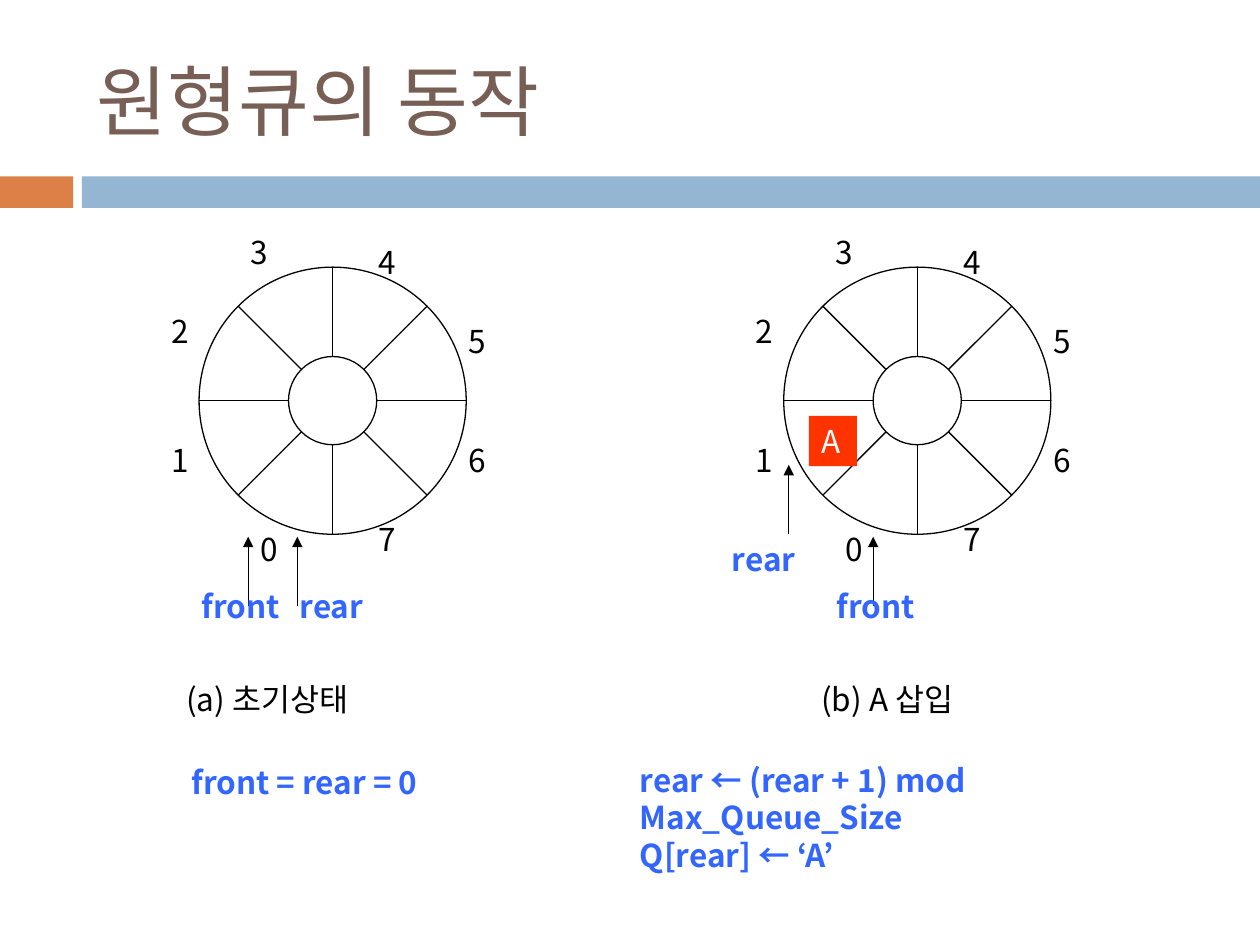
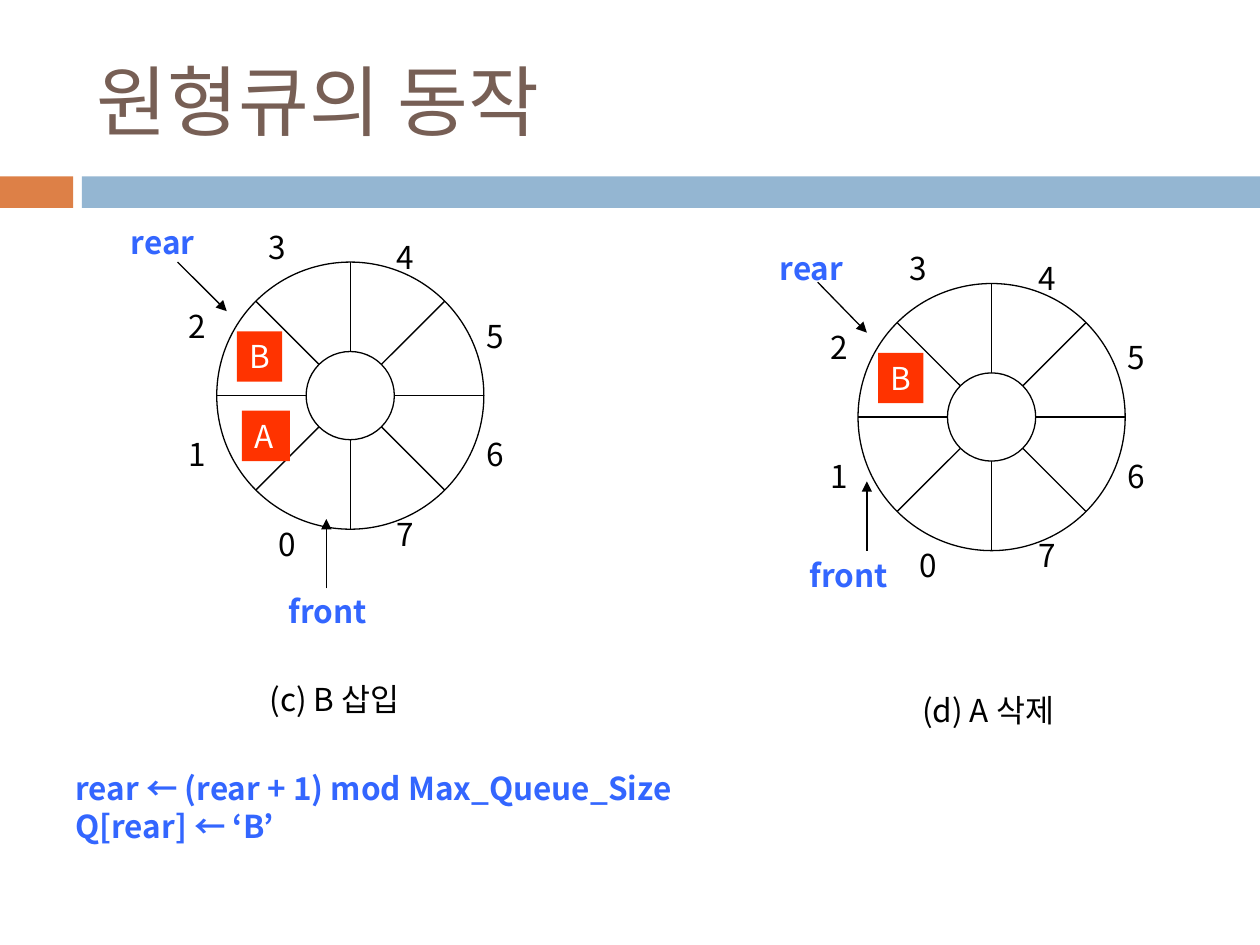
import math
from dataclasses import dataclass

from lxml import etree
from pptx import Presentation
from pptx import util as u
from pptx.dml.color import RGBColor
from pptx.enum import shapes, text
from pptx.oxml.ns import qn


@dataclass(frozen=True)
class Theme:
    title: str = "775F55"
    orange: str = "DD8047"
    blue: str = "94B6D2"
    ink: str = "000000"
    pointer: str = "3366FF"
    token: str = "FF3300"
    token_text: str = "FFFFFF"
    title_font: str = "Cabin"
    body_font: str = "Noto Sans CJK KR"
    title_size: float = 44
    body_size: float = 18
    body_line: float = 21.4
    line_width: float = 0.75


THEME = Theme()
TITLE = "원형큐의 동작"
TITLE_BOX = (0.67, 0.25, 8.92, 1.08)
BANDS = [((0, 1.4, 0.58, 0.25), THEME.orange), ((0.65, 1.4, 9.35, 0.25), THEME.blue)]

OUTER_RADIUS, INNER_RADIUS = 1.06, 0.35
TEXT_HEIGHT = 0.4
INDEX_WIDTH = 0.37
# Top left of the index labels 0 to 7, measured from the centre of the wheel
INDEX_OFFSETS = [(-0.67, 0.98), (-1.38, 0.27), (-1.38, -0.75), (-0.75, -1.38),
                 (0.27, -1.3), (0.98, -0.67), (0.98, 0.27), (0.27, 0.9)]
# Top left from the centre, and width
TOKENS = {"A": (-0.86, 0.12, 0.38), "B": (-0.9, -0.51, 0.36)}
POINTER_WIDTHS = {"front": 0.87, "rear": 0.78}

# Pointers: name, label position, arrow start, arrow end.
# Captions: wording, left, top, width. Code: lines, left, top, width, height.
SLIDES = [
    [
        {"centre": (2.64, 3.18), "tokens": "",
         "pointers": [("front", (1.5, 4.61), (1.97, 4.81), (1.97, 4.26)),
                      ("rear", (2.28, 4.61), (2.36, 4.81), (2.36, 4.26))],
         "caption": ("(a) 초기상태", 1.38, 5.35, 1.78),
         "code": (["front = rear = 0"], 1.42, 6.01, 2.99, 0.4)},
        {"centre": (7.28, 3.18), "tokens": "A",
         "pointers": [("front", (6.54, 4.61), (6.93, 4.81), (6.93, 4.26)),
                      ("rear", (5.71, 4.24), (6.26, 4.24), (6.26, 3.69))],
         "caption": ("(b) A 삽입", 6.42, 5.35, 1.45),
         "code": (["rear ← (rear + 1) mod Max_Queue_Size", "Q[rear] ← ‘A’"],
                  4.98, 5.99, 4.87, 1.01)},
    ],
    [
        {"centre": (2.78, 3.14), "tokens": "AB",
         "pointers": [("front", (2.19, 4.65), (2.59, 4.67), (2.59, 4.12)),
                      ("rear", (0.94, 1.72), (1.41, 2.08), (1.8, 2.47))],
         "caption": ("(c) B 삽입", 2.04, 5.35, 1.42),
         "code": (["rear ← (rear + 1) mod Max_Queue_Size", "Q[rear] ← ‘B’"],
                  0.5, 6.06, 4.95, 1.01)},
        {"centre": (7.87, 3.31), "tokens": "B",
         "pointers": [("front", (6.33, 4.37), (6.88, 4.37), (6.88, 3.82)),
                      ("rear", (6.09, 1.93), (6.49, 2.24), (6.88, 2.64))],
         "caption": ("(d) A 삭제", 7.22, 5.44, 1.45),
         "code": None},
    ],
]


def inches(values):
    return [u.Inches(value) for value in values]


def write(shape, lines, color, bold=False, font=THEME.body_font,
          size=THEME.body_size, line_spacing=THEME.body_line):
    frame = shape.text_frame
    frame.word_wrap = True
    frame.text = "\n".join(lines)
    for paragraph in frame.paragraphs:
        paragraph.alignment = text.PP_ALIGN.LEFT
        if line_spacing:
            paragraph.line_spacing = u.Pt(line_spacing)
        paragraph.font.name = font
        paragraph.font.size = u.Pt(size)
        paragraph.font.bold = bold
        paragraph.font.color.rgb = RGBColor.from_string(color)
        for run in paragraph.runs:
            run.font.name = font
            latin = run.font._element.find(qn("a:latin"))
            east_asian = etree.Element(qn("a:ea"), typeface=THEME.body_font)
            latin.addnext(east_asian)


def add_text(slide, box, lines, color, **style):
    shape = slide.shapes.add_textbox(*inches(box))
    write(shape, lines, color, **style)
    return shape


def add_rectangle(slide, box, color):
    shape = slide.shapes.add_shape(shapes.MSO_SHAPE.RECTANGLE, *inches(box))
    shape.shadow.inherit = False
    shape.fill.solid()
    shape.fill.fore_color.rgb = RGBColor.from_string(color)
    shape.line.fill.background()
    return shape


def outline(shape):
    shape.line.color.rgb = RGBColor.from_string(THEME.ink)
    shape.line.width = u.Pt(THEME.line_width)


def add_line(container, start, end, arrow=False):
    line = container.add_connector(shapes.MSO_CONNECTOR.STRAIGHT, *inches(start + end))
    outline(line)
    properties = line._element.spPr
    if arrow:
        etree.SubElement(properties.find(qn("a:ln")), qn("a:tailEnd"), type="triangle")
    etree.SubElement(properties, qn("a:effectLst"))


def add_wheel(slide, centre):
    """Draw the eight-cell ring and its index labels."""
    x, y = centre
    ring = slide.shapes.add_group_shape().shapes
    for radius in (OUTER_RADIUS, INNER_RADIUS):
        circle = ring.add_shape(shapes.MSO_SHAPE.OVAL, *inches(
            (x - radius, y - radius, 2 * radius, 2 * radius)))
        circle.shadow.inherit = False
        circle.fill.background()
        outline(circle)
    cells = len(INDEX_OFFSETS)
    for cell in range(cells):
        angle = 2 * math.pi * cell / cells
        inner, outer = [(x + radius * math.cos(angle), y + radius * math.sin(angle))
                        for radius in (INNER_RADIUS, OUTER_RADIUS)]
        add_line(ring, inner, outer)
    for index, (dx, dy) in enumerate(INDEX_OFFSETS):
        add_text(slide, (x + dx, y + dy, INDEX_WIDTH, TEXT_HEIGHT), [str(index)], THEME.ink)


def add_queue(slide, queue):
    x, y = queue["centre"]
    add_wheel(slide, queue["centre"])
    for name, position, start, end in queue["pointers"]:
        add_line(slide.shapes, start, end, arrow=True)
        add_text(slide, (*position, POINTER_WIDTHS[name], TEXT_HEIGHT), [name],
                 THEME.pointer, bold=True)
    for name in queue["tokens"]:
        dx, dy, width = TOKENS[name]
        token = add_rectangle(slide, (x + dx, y + dy, width, TEXT_HEIGHT), THEME.token)
        write(token, [name], THEME.token_text)
    caption, *box = queue["caption"]
    add_text(slide, (*box, TEXT_HEIGHT), [caption], THEME.ink)
    if queue["code"]:
        lines, *box = queue["code"]
        add_text(slide, box, lines, THEME.pointer, bold=True)


def add_base_slide(presentation):
    slide = presentation.slides.add_slide(presentation.slide_layouts[6])
    for box, color in BANDS:
        add_rectangle(slide, box, color)
    title = add_text(slide, TITLE_BOX, [TITLE], THEME.title, font=THEME.title_font,
                     size=THEME.title_size, line_spacing=None)
    title.text_frame.vertical_anchor = text.MSO_ANCHOR.MIDDLE
    return slide


def main():
    presentation = Presentation()
    presentation.slide_width, presentation.slide_height = inches((10, 7.5))
    for queues in SLIDES:
        slide = add_base_slide(presentation)
        for queue in queues:
            add_queue(slide, queue)
    presentation.save("out.pptx")


if __name__ == "__main__":
    main()
